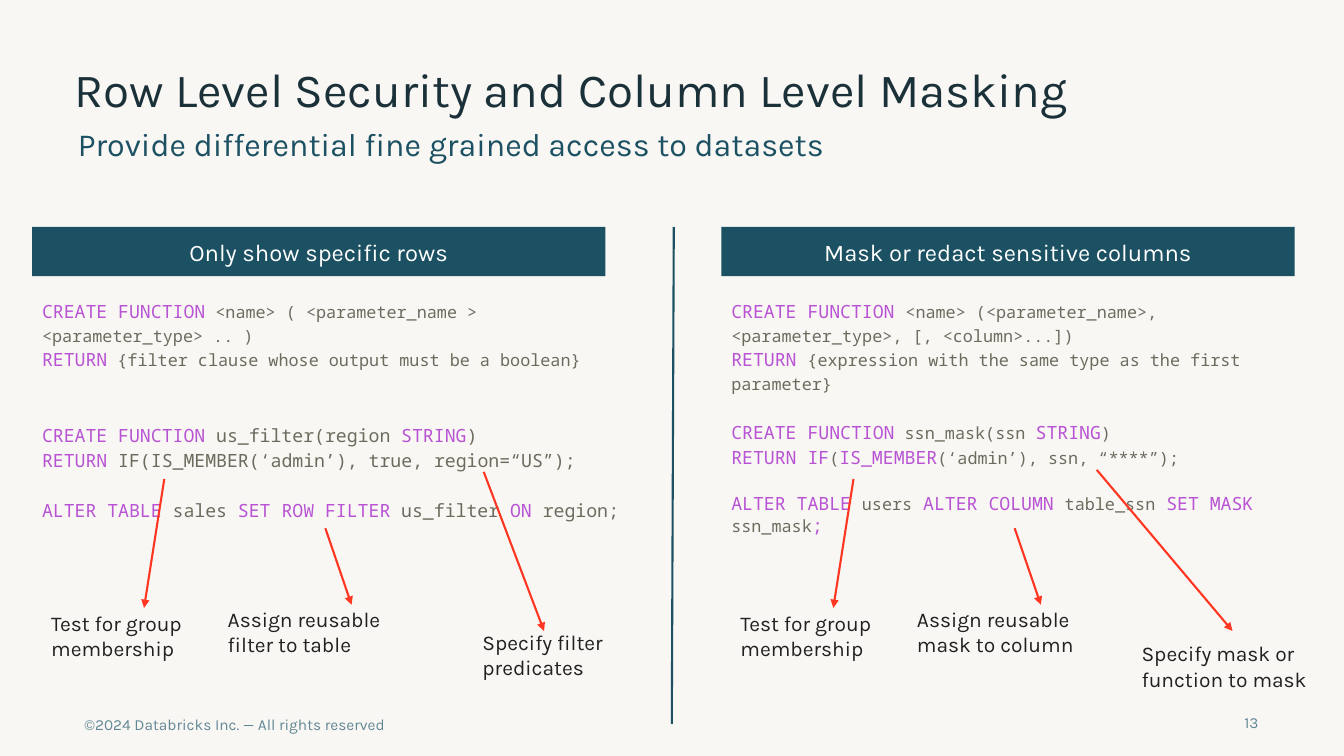
from lxml import etree
from pptx import Presentation
from pptx.dml.color import RGBColor
from pptx.enum.shapes import MSO_CONNECTOR, MSO_SHAPE
from pptx.enum.text import MSO_ANCHOR, MSO_AUTO_SIZE, PP_ALIGN
from pptx.oxml.ns import qn
from pptx.util import Cm, Pt

LEFT, CENTER, RIGHT = PP_ALIGN.LEFT, PP_ALIGN.CENTER, PP_ALIGN.RIGHT
TOP, MIDDLE = MSO_ANCHOR.TOP, MSO_ANCHOR.MIDDLE
NO_AUTOFIT = MSO_AUTO_SIZE.NONE
STRAIGHT = MSO_CONNECTOR.STRAIGHT
RECTANGLE = MSO_SHAPE.RECTANGLE

PANEL_LEFTS = (0.81, 18.18)
PANEL_WIDTH = 14.45

# Callouts: text, (left, top, width), arrow start, arrow end; x counts from the panel's left edge.
# Code lines: text with `keywords` marked, line spacing, space before in points.
PANELS = [
    {
        "heading": "Only show specific rows",
        "syntax": [
            ("`CREATE FUNCTION` <name> ( <parameter_name > <parameter_type> .. )", 1.15, 0),
            ("`RETURN` {filter clause whose output must be a boolean}", 1.15, 0),
        ],
        "example": [
            ("`CREATE FUNCTION `us_filter(region `STRING`)", 1.15, 0),
            ("`RETURN `IF(IS_MEMBER(‘admin’), true, region=“US”);", 1.15, 0),
            ("`ALTER TABLE` sales `SET ROW FILTER` us_filter `ON` region;", 1.15, 18),
        ],
        "example_size": 13,
        "callouts": [
            ("Assign reusable filter to table", (4.68, 15.04, 5.51), (7.39, 13.31), (8.05, 15.24)),
            ("Specify filter predicates", (11.1, 15.62, 6.12), (11.38, 11.89), (12.9, 15.9)),
            ("Test for group membership", (0.23, 15.14, 6.12), (3.33, 12.07), (2.82, 15.32)),
        ],
    },
    {
        "heading": "Mask or redact sensitive columns",
        "syntax": [
            ("`CREATE FUNCTION `<name> (<parameter_name>, <parameter_type>, [, <column>...])", 1.15, 0),
            ("`RETURN `{expression with the same type as the first parameter}", 1.15, 0),
        ],
        "example": [
            ("`CREATE FUNCTION` ssn_mask(ssn `STRING`)", 1.0, 0),
            ("`RETURN IF`(`IS_MEMBER`(‘admin’), ssn, “****”);", 1.15, 0),
            ("`ALTER TABLE `users` ALTER COLUMN `table_ssn` SET MASK `ssn_mask`;`", 1.0, 17.5),
        ],
        "example_size": 12,
        "callouts": [
            ("Assign reusable mask to column", (4.68, 15.04, 5.51), (7.39, 13.31), (8.05, 15.24)),
            ("Specify mask or function to mask", (10.34, 15.9, 6.12), (9.46, 11.84), (12.88, 15.9)),
            ("Test for group membership", (0.23, 15.14, 6.12), (3.33, 12.07), (2.82, 15.32)),
        ],
    },
]


def color(hex_text):
    return RGBColor.from_string(hex_text)


class SlideBuilder:
    sans = "Karla"
    mono = "Noto Sans Mono"
    paper = "F9F7F4"
    ink = "1B3139"
    teal = "1B5162"
    footer = "618794"
    body = "212121"
    white = "FFFFFF"
    red = "FF3621"
    keyword = "B854D4"
    code_gray = "6E6B5E"

    def __init__(self, page):
        self.page = page
        page.background.fill.solid()
        page.background.fill.fore_color.rgb = color(self.paper)

    def style(self, span, size, hex_text, font=None):
        span.font.name = font or self.sans
        span.font.size = Pt(size)
        span.font.color.rgb = color(hex_text)

    def frame(self, shape, inset=0.25, anchor=TOP):
        """Set wrapping, insets and anchor, and return the text frame."""
        frame = shape.text_frame
        frame.word_wrap = True
        frame.auto_size = NO_AUTOFIT
        frame.vertical_anchor = anchor
        frame.margin_left = frame.margin_right = Cm(inset)
        frame.margin_top = frame.margin_bottom = Cm(inset)
        return frame

    def set_text(self, frame, text, size, hex_text, align=LEFT):
        frame.text = text
        para = frame.paragraphs[0]
        para.alignment = align
        self.style(para.runs[0], size, hex_text)
        return para

    def text_box(self, left, top, width, height):
        return self.page.shapes.add_textbox(Cm(left), Cm(top), Cm(width), Cm(height))

    def heading(self, holder, text, left, top, width, size, hex_text, anchor):
        """Move and fill a title or subtitle placeholder."""
        holder.left, holder.top = Cm(left), Cm(top)
        holder.width, holder.height = Cm(width), Cm(1.63)
        para = self.set_text(self.frame(holder, 0, anchor), text, size, hex_text)
        para.line_spacing = 0.9
        para.space_before = Pt(0)

    def label(self, text, left, top, width):
        box = self.text_box(left, top, width, 1.8)
        self.set_text(self.frame(box), text, 15, self.body)

    def footnote(self, text, left, top, width, align):
        box = self.text_box(left, top, width, 1.14)
        self.set_text(self.frame(box, 0.33), text, 11, self.footer, align)

    def banner(self, text, left, top, width, height):
        box = self.page.shapes.add_shape(RECTANGLE, Cm(left), Cm(top), Cm(width), Cm(height))
        box.shadow.inherit = False
        box.fill.solid()
        box.fill.fore_color.rgb = color(self.teal)
        box.line.fill.background()
        self.set_text(self.frame(box, anchor=MIDDLE), text, 17, self.white, CENTER)

    def code(self, lines, left, top, width, height, plain_size):
        frame = self.frame(self.text_box(left, top, width, height))
        for number, (text, spacing, before) in enumerate(lines):
            para = frame.add_paragraph() if number else frame.paragraphs[0]
            para.line_spacing = spacing
            para.space_before = Pt(before)
            for position, part in enumerate(text.split("`")):
                if not part:
                    continue
                span = para.add_run()
                span.text = part
                if position % 2:
                    self.style(span, 13, self.keyword, self.mono)
                else:
                    self.style(span, plain_size, self.code_gray, self.mono)

    def line(self, start, end, hex_text, arrow=False):
        points = [Cm(value) for value in (*start, *end)]
        connector = self.page.shapes.add_connector(STRAIGHT, *points)
        connector.line.color.rgb = color(hex_text)
        connector.line.width = Pt(1.5)
        properties = connector.element.spPr
        if arrow:
            etree.SubElement(properties.find(qn("a:ln")), qn("a:tailEnd"), type="triangle")
        etree.SubElement(properties, qn("a:effectLst"))

    def panel(self, left, content):
        self.banner(content["heading"], left, 5.72, PANEL_WIDTH, 1.24)
        self.code(content["syntax"], left, 7.24, 14.2, 2.9, 12)
        self.code(content["example"], left, 10.36, 16.08, 3, content["example_size"])
        for text, (x, top, width), start, end in content["callouts"]:
            self.label(text, left + x, top, width)
            self.line((left + start[0], start[1]), (left + end[0], end[1]), self.red, arrow=True)


def main():
    deck = Presentation()
    deck.slide_width, deck.slide_height = Cm(33.87), Cm(19.05)
    page = deck.slides.add_slide(deck.slide_layouts[0])
    builder = SlideBuilder(page)
    title, subtitle = page.placeholders
    builder.heading(title, "Row Level Security and Column Level Masking",
                    1.88, 1.5, 31.22, 34, builder.ink, MIDDLE)
    builder.heading(subtitle, "Provide differential fine grained access to datasets",
                    1.96, 3.25, 30.05, 23, builder.teal, TOP)
    for left, content in zip(PANEL_LEFTS, PANELS):
        builder.panel(left, content)
    builder.line((16.98, 5.72), (16.93, 18.24), builder.teal)
    builder.footnote("©2024 Databricks Inc. — All rights reserved", 1.8, 17.68, 14.94, LEFT)
    builder.footnote("13", 30.2, 17.65, 1.85, RIGHT)
    deck.save("out.pptx")


if __name__ == "__main__":
    main()
